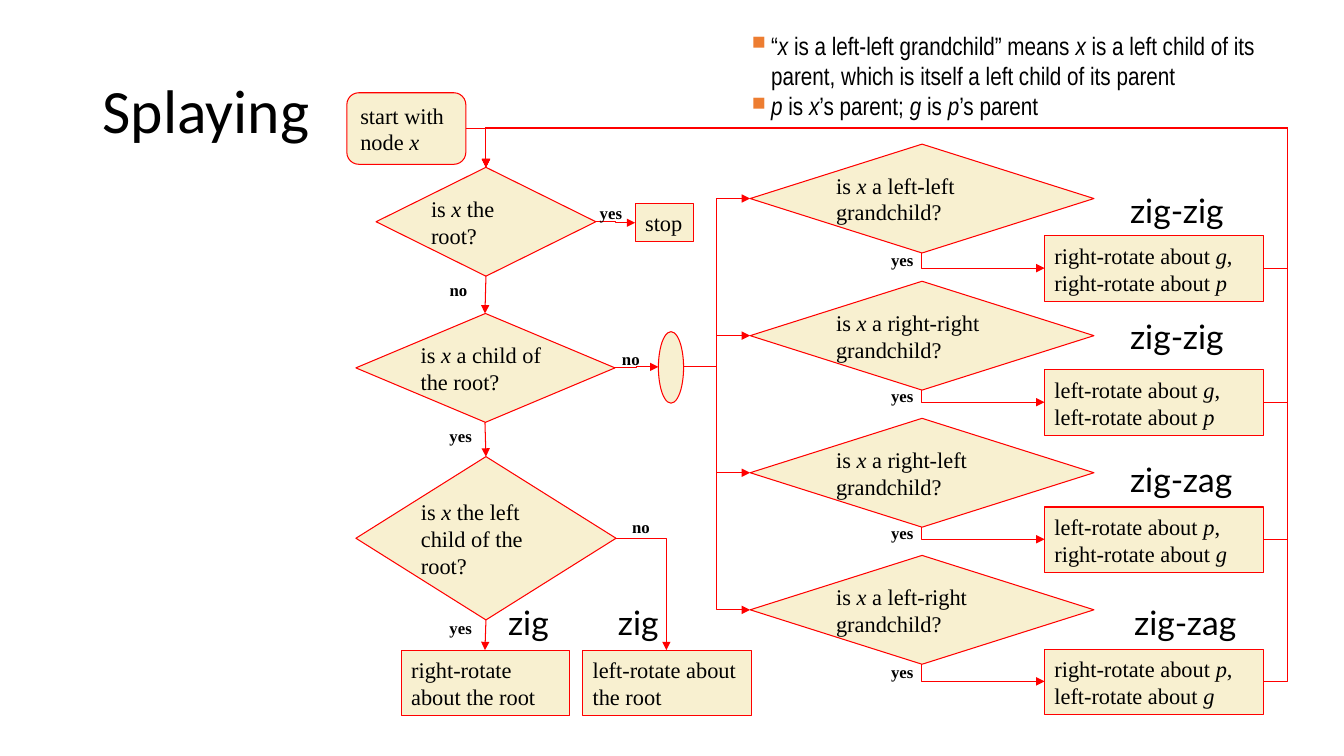
from dataclasses import dataclass

from lxml.etree import SubElement
from pptx import Presentation
from pptx.dml.color import RGBColor
from pptx.enum.shapes import MSO_CONNECTOR, MSO_SHAPE
from pptx.enum.text import MSO_ANCHOR, MSO_AUTO_SIZE, PP_ALIGN
from pptx.oxml.ns import qn
from pptx.slide import Slide
from pptx.text.text import TextFrame
from pptx.util import Pt

SCALE = 9144
BLACK = RGBColor(0x00, 0x00, 0x00)
WHITE = RGBColor(0xFF, 0xFF, 0xFF)
CREAM = RGBColor(0xF8, 0xF0, 0xD0)
RED = RGBColor(0xFF, 0x00, 0x00)
ORANGE = RGBColor(0xED, 0x7D, 0x31)

Point = tuple[int, int]


@dataclass(frozen=True)
class Face:
    name: str
    size: int
    bold: bool = False


TITLE = Face("Calibri", 44)
BODY = Face("Times New Roman", 16)
SMALL = Face("Times New Roman", 12, True)
NOTE = Face("Arial Narrow", 18)
CASE = Face("Lato", 24)


@dataclass(frozen=True)
class Node:
    kind: MSO_SHAPE
    x: int
    y: int
    w: int
    h: int
    text: str = ""
    wrap: bool = True

    @property
    def top(self) -> Point:
        return self.x + self.w // 2, self.y

    @property
    def base(self) -> Point:
        return self.x + self.w // 2, self.y + self.h

    @property
    def left(self) -> Point:
        return self.x, self.y + self.h // 2

    @property
    def right(self) -> Point:
        return self.x + self.w, self.y + self.h // 2


@dataclass(frozen=True)
class Link:
    start: Point
    end: Point
    kind: str = "line"
    bends: tuple[float, ...] = ()
    down: bool = False


@dataclass(frozen=True)
class Label:
    x: int
    y: int
    w: int
    h: int
    text: str
    face: Face


@dataclass(frozen=True)
class Row:
    ask: str
    move: str
    case: str
    move_y: int
    yes_y: int
    case_x: int
    case_y: int


TEST = MSO_SHAPE.FLOWCHART_DECISION
STEP = MSO_SHAPE.FLOWCHART_PROCESS

START = Node(MSO_SHAPE.FLOWCHART_ALTERNATE_PROCESS, 344, 92, 118, 71, "start with node *x*")
ROOT = Node(TEST, 373, 166, 218, 108, "is *x* the root?")
STOP = Node(STEP, 630, 202, 58, 38, "stop", False)
CHILD = Node(TEST, 353, 311, 257, 108, "is *x* a child of the root?")
SIDE = Node(TEST, 353, 453, 258, 162, "is *x* the left child of the root?")
ZIG_R = Node(STEP, 398, 645, 167, 65, "right-rotate about the root")
ZIG_L = Node(STEP, 578, 645, 167, 65, "left-rotate about the root")
HUB = Node(MSO_SHAPE.FLOWCHART_CONNECTOR, 653, 329, 25, 71)

ROWS = [
    Row("left-left", "right-rotate about *g*, right-rotate about *p*", "zig-zig", 234, 243, 1111, 183),
    Row("right-right", "left-rotate about *g*, left-rotate about *p*", "zig-zig", 367, 378, 1111, 308),
    Row("right-left", "left-rotate about *p*, right-rotate about *g*", "zig-zag", 503, 514, 1111, 450),
    Row("left-right", "right-rotate about *p*, left-rotate about *g*", "zig-zag", 644, 652, 1115, 592),
]
ASKS = [Node(TEST, 744, 143 + 136 * i, 341, 108, f"is *x* a {row.ask} grandchild?") for i, row in enumerate(ROWS)]
MOVES = [Node(STEP, 1036, row.move_y, 217, 65, row.move) for row in ROWS]

LANE_X, LANE_Y = 1277, 127


def loop_back(move: Node) -> Link:
    """Return the link that leads from a rotation back to the first test."""
    (x, y), (end_x, end_y) = move.right, ROOT.top
    bends = ((x - LANE_X) / (x - end_x), (y - LANE_Y) / (y - end_y))
    return Link(move.right, ROOT.top, "bentConnector4", bends)


LINKS = [
    Link(ROOT.right, STOP.left, "bentConnector3", (0.5,)),
    Link(ROOT.base, CHILD.top),
    Link(CHILD.base, SIDE.top),
    Link(SIDE.base, ZIG_R.top),
    Link(SIDE.right, ZIG_L.top, "bentConnector2"),
    Link(CHILD.right, HUB.left, "bentConnector3", (0.5,)),
    *(Link(HUB.right, ask.left, "bentConnector3", (0.5,)) for ask in ASKS),
    *(Link(ask.base, move.left, "bentConnector2", down=True) for ask, move in zip(ASKS, MOVES)),
    *(loop_back(move) for move in MOVES),
    Link(START.right, ROOT.top, "bentConnector2"),
]

LABELS = [
    *(Label(x, y, 38, 30, "no", SMALL) for x, y in [(436, 273), (617, 508), (607, 341)]),
    *(Label(x, y, 43, 30, "yes", SMALL) for x, y in [(436, 417), (436, 608), (585, 196)]),
    *(Label(874, row.yes_y, 43, 30, "yes", SMALL) for row in ROWS),
    *(Label(row.case_x, row.case_y, 114 if row.case == "zig-zig" else 124, 50, row.case, CASE) for row in ROWS),
    *(Label(x, 592, 61, 50, "zig", CASE) for x in (494, 603)),
]

NOTES = [
    "“*x* is a left-left grandchild” means *x* is a left child of its parent, which is itself a left child of its parent",
    "*p* is *x*’s parent; *g* is *p*’s parent",
]


def px(*sizes: int) -> list[int]:
    """Turn px lengths into EMU."""
    return [size * SCALE for size in sizes]


def fill_text(frame: TextFrame, text: str, face: Face) -> None:
    """Write lines of text, with starred parts in italics."""
    frame.text = "\n" * text.count("\n")
    for para, line in zip(frame.paragraphs, text.split("\n")):
        first, *rest = line.split("*")
        para.text = first
        for part in filter(None, rest):
            para.add_run().text = part
        para.alignment = PP_ALIGN.LEFT
        for i, run in enumerate(para.runs, 0 if first else 1):
            font = run.font
            font.name, font.size, font.bold = face.name, Pt(face.size), face.bold
            font.italic = i % 2 == 1
            font.color.rgb = BLACK


def draw_node(slide: Slide, node: Node) -> None:
    """Draw one flowchart shape with its text."""
    shape = slide.shapes.add_shape(node.kind, *px(node.x, node.y, node.w, node.h))
    shape.shadow.inherit = False
    shape.fill.solid()
    shape.fill.fore_color.rgb = CREAM
    shape.line.color.rgb = RED
    shape.line.width = Pt(0.75)
    if not node.text:
        return
    frame = shape.text_frame
    fill_text(frame, node.text, BODY)
    frame.word_wrap = node.wrap
    frame.auto_size = MSO_AUTO_SIZE.SHAPE_TO_FIT_TEXT
    frame.vertical_anchor = MSO_ANCHOR.MIDDLE
    if node.kind == TEST:
        frame.margin_left = frame.margin_right = frame.margin_top = frame.margin_bottom = 0


def draw_link(slide: Slide, link: Link) -> None:
    """Draw one arrow, straight or bent."""
    kind = MSO_CONNECTOR.STRAIGHT if link.kind == "line" else MSO_CONNECTOR.ELBOW
    wire = slide.shapes.add_connector(kind, *px(*link.start, *link.end))
    wire.line.color.rgb = RED
    wire.line.width = Pt(0.75)
    props = wire._element.spPr
    geom = props.find(qn("a:prstGeom"))
    geom.set("prst", link.kind)
    for i, bend in enumerate(link.bends, 1):
        name = "adj" if link.kind == "line" else f"adj{i}"
        SubElement(geom.find(qn("a:avLst")), qn("a:gd"), name=name, fmla=f"val {round(bend * 100000)}")
    if link.down:
        wide, high = wire.width, wire.height
        wire.left += (wide - high) // 2
        wire.top -= (wide - high) // 2
        wire.width, wire.height = high, wide
        frame = props.find(qn("a:xfrm"))
        frame.set("rot", "16200000")
        frame.set("flipH", "1")
    SubElement(props.find(qn("a:ln")), qn("a:tailEnd"), type="triangle")
    SubElement(props, qn("a:effectLst"))


def draw_label(slide: Slide, label: Label) -> None:
    """Draw one short label."""
    frame = slide.shapes.add_textbox(*px(label.x, label.y, label.w, label.h)).text_frame
    fill_text(frame, label.text, label.face)
    frame.word_wrap = False
    frame.auto_size = MSO_AUTO_SIZE.SHAPE_TO_FIT_TEXT
    frame.vertical_anchor = MSO_ANCHOR.MIDDLE if label.face == CASE else MSO_ANCHOR.TOP


def draw_title(slide: Slide) -> None:
    """Draw the slide title."""
    frame = slide.shapes.add_textbox(*px(92, 40, 1150, 145)).text_frame
    fill_text(frame, "Splaying", TITLE)
    frame.word_wrap = True
    frame.vertical_anchor = MSO_ANCHOR.MIDDLE
    frame.paragraphs[0].line_spacing = 0.9


def draw_notes(slide: Slide) -> None:
    """Draw the list that explains the terms."""
    box = slide.shapes.add_textbox(*px(736, 25, 540, 100))
    box.fill.solid()
    box.fill.fore_color.rgb = WHITE
    frame = box.text_frame
    fill_text(frame, "\n".join(NOTES), NOTE)
    frame.word_wrap = True
    frame.auto_size = MSO_AUTO_SIZE.SHAPE_TO_FIT_TEXT
    for para in frame.paragraphs:
        props = para._p.get_or_add_pPr()
        props.set("marL", str(19 * SCALE))
        props.set("indent", str(-19 * SCALE))
        SubElement(SubElement(props, qn("a:buClr")), qn("a:srgbClr"), val=str(ORANGE))
        SubElement(props, qn("a:buSzPct"), val="75000")
        SubElement(props, qn("a:buChar"), char="■")


def main() -> None:
    """Build the slide and save it."""
    deck = Presentation()
    deck.slide_width, deck.slide_height = px(1333, 750)
    slide = deck.slides.add_slide(deck.slide_layouts[6])
    draw_title(slide)
    for node in [ROOT, STOP, CHILD, ZIG_R, ZIG_L, SIDE, HUB, *ASKS, *MOVES, START]:
        draw_node(slide, node)
    for link in LINKS:
        draw_link(slide, link)
    draw_notes(slide)
    for label in LABELS:
        draw_label(slide, label)
    deck.save("out.pptx")


if __name__ == "__main__":
    main()
